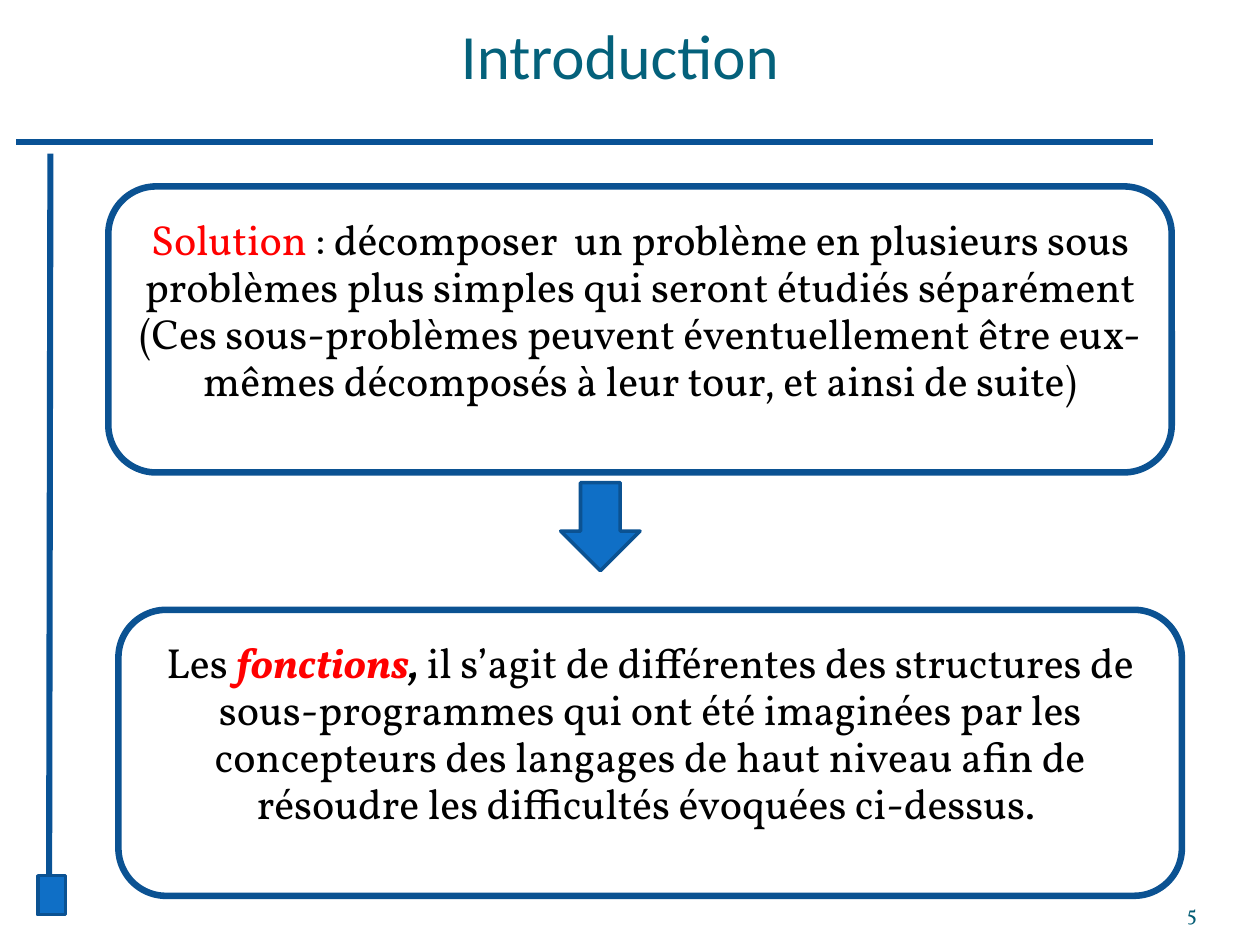
from dataclasses import dataclass

from lxml.etree import SubElement
from pptx import Presentation
from pptx.dml.color import RGBColor
from pptx.enum.shapes import MSO_CONNECTOR as Link, MSO_SHAPE as Kind
from pptx.enum.text import MSO_ANCHOR as Anchor, PP_ALIGN as Align
from pptx.oxml.ns import qn
from pptx.util import Inches, Pt

HUES = {
    "rule": "095295", "edge": "0B5292", "blue": "0F6FC6", "white": "FFFFFF",
    "title": "04617B", "page": "045D75", "red": "FF0000", "black": "000000",
}
HEAD, BODY = "Calibri", "Vollkorn"


@dataclass
class Span:
    text: str
    hue: str = "black"
    strong: bool = False


@dataclass
class Area:
    left: float
    top: float
    width: float
    height: float

    def lengths(self) -> tuple:
        return tuple(map(Inches, (self.left, self.top, self.width, self.height)))


@dataclass
class Card:
    area: Area
    spans: list[Span]


@dataclass
class Rule:
    start: tuple[float, float]
    end: tuple[float, float]


def color(hue: str) -> RGBColor:
    return RGBColor.from_string(HUES[hue])


def write(para, spans: list[Span], size: float, face: str, align) -> None:
    para.alignment = align
    for span in spans:
        run = para.add_run()
        run.text = span.text
        font = run.font
        font.name, font.size = face, Pt(size)
        font.bold = font.italic = span.strong
        font.color.rgb = color(span.hue)


def add_shape(slide, kind, area: Area, fill: str, weight: float):
    shape = slide.shapes.add_shape(kind, *area.lengths())
    shape.shadow.inherit = False
    shape.fill.solid()
    shape.fill.fore_color.rgb = color(fill)
    shape.line.color.rgb = color("edge")
    shape.line.width = Pt(weight)
    return shape


def add_card(slide, card: Card) -> None:
    shape = add_shape(slide, Kind.ROUNDED_RECTANGLE, card.area, "white", 3.75)
    frame = shape.text_frame
    frame.word_wrap = True
    frame.vertical_anchor = Anchor.MIDDLE
    frame.margin_bottom = Inches(0.33)  # lifts the text above the middle
    para = frame.paragraphs[0]
    para.line_spacing = 0.93
    write(para, card.spans, 24, BODY, Align.CENTER)


def add_rule(slide, rule: Rule) -> None:
    ends = map(Inches, (*rule.start, *rule.end))
    line = slide.shapes.add_connector(Link.STRAIGHT, *ends)
    line.line.color.rgb = color("rule")
    line.line.width = Pt(3.5)
    SubElement(line._element.spPr, qn("a:effectLst"))


def add_title(slide, text: str) -> None:
    title = slide.shapes.title
    area = Area(0.86, 0.08, 8.12, 1.02)
    title.left, title.top, title.width, title.height = area.lengths()
    frame = title.text_frame
    frame.vertical_anchor = Anchor.TOP
    write(frame.paragraphs[0], [Span(text, "title")], 36, HEAD, Align.CENTER)


def add_page(slide, text: str) -> None:
    box = slide.shapes.add_textbox(*Area(8.67, 6.95, 0.83, 0.4).lengths())
    frame = box.text_frame
    frame.word_wrap = True
    frame.vertical_anchor = Anchor.BOTTOM
    frame.margin_left = frame.margin_right = 0
    frame.margin_top = frame.margin_bottom = 0
    write(frame.paragraphs[0], [Span(text, "page")], 12, BODY, Align.RIGHT)


RULES = [Rule((0.13, 1.13), (9.15, 1.13)), Rule((0.4, 1.22), (0.39, 7.01))]
CARDS = [
    Card(Area(0.86, 1.48, 8.44, 2.27), [
        Span("Solution", "red"),
        Span(" : décomposer  un problème en plusieurs sous problèmes plus "
             "simples qui seront étudiés séparément (Ces sous-problèmes "
             "peuvent éventuellement être eux-mêmes décomposés à leur tour, "
             "et ainsi de suite)"),
    ]),
    Card(Area(0.94, 4.84, 8.44, 2.27), [
        Span("Les "),
        Span("fonctions", "red", True),
        Span(", ", strong=True),
        Span("il s’agit de différentes des structures de sous-programmes qui "
             "ont été imaginées par les concepteurs des langages de haut "
             "niveau afin de résoudre les difficultés évoquées ci-dessus. "),
    ]),
]


def main() -> None:
    deck = Presentation()
    deck.slide_width, deck.slide_height = Inches(10), Inches(7.5)
    slide = deck.slides.add_slide(deck.slide_layouts[5])
    add_title(slide, "Introduction")
    add_page(slide, "5")
    for rule in RULES:
        add_rule(slide, rule)
    add_shape(slide, Kind.RECTANGLE, Area(0.3, 6.95, 0.22, 0.31), "blue", 2)
    for card in CARDS:
        add_card(slide, card)
    add_shape(slide, Kind.DOWN_ARROW, Area(4.45, 3.83, 0.63, 0.7), "blue", 2)
    deck.save("out.pptx")


if __name__ == "__main__":
    main()
